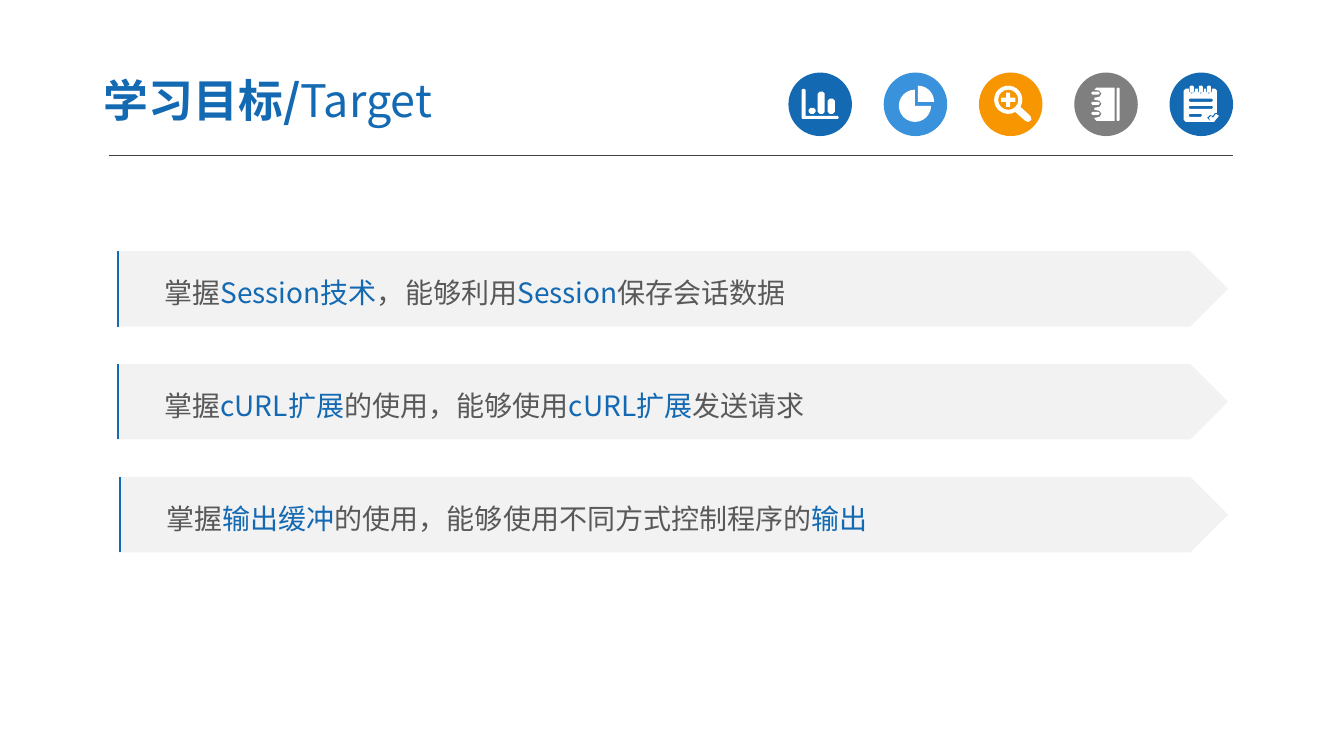
import math

import pptx
import pptx.dml.color
import pptx.enum.shapes
import pptx.enum.text
import pptx.oxml.ns
import pptx.util
from lxml import etree

Inches = pptx.util.Inches
Pt = pptx.util.Pt
RGBColor = pptx.dml.color.RGBColor
SHAPE = pptx.enum.shapes.MSO_SHAPE
ANCHOR = pptx.enum.text.MSO_ANCHOR
ALIGN = pptx.enum.text.PP_ALIGN
qn = pptx.oxml.ns.qn

FONT = "Noto Sans CJK SC"
BLUE = RGBColor(0x13, 0x69, 0xB2)
LIGHT_BLUE = RGBColor(0x39, 0x92, 0xDB)
ORANGE = RGBColor(0xF7, 0x96, 0x00)
GRAY = RGBColor(0x7F, 0x7F, 0x7F)
RULE_GRAY = RGBColor(0x40, 0x40, 0x40)
BAND = RGBColor(0xF2, 0xF2, 0xF2)
TEXT = RGBColor(0x59, 0x59, 0x59)
WHITE = RGBColor(0xFF, 0xFF, 0xFF)

ICON_SIZE = 0.63

GOALS = [
    (1.16, [("掌握", TEXT), ("Session技术", BLUE), ("，能够利用", TEXT),
            ("Session", BLUE), ("保存会话数据", TEXT)]),
    (1.16, [("掌握", TEXT), ("cURL扩展", BLUE), ("的使用，能够使用", TEXT),
            ("cURL扩展", BLUE), ("发送请求", TEXT)]),
    (1.18, [("掌握", TEXT), ("输出缓冲", BLUE),
            ("的使用，能够使用不同方式控制程序的", TEXT), ("输出", BLUE)]),
]


def arc(x, y, radius, start, end, steps):
    """Return points along an arc, in degrees clockwise from the right."""
    angles = [math.radians(start + (end - start) * i / steps) for i in range(steps + 1)]
    return [(x + radius * math.cos(a), y + radius * math.sin(a)) for a in angles]


def bar(x, y, width, height, cut=0.01):
    """Return a rectangle outline with softened corners."""
    right, bottom = x + width, y + height
    return [(x + cut, y), (right - cut, y), (right, y + cut), (right, bottom - cut),
            (right - cut, bottom), (x + cut, bottom), (x, bottom - cut), (x, y + cut)]


def chart_outlines():
    """Return the outlines of the bar chart pictogram."""
    axis = [(0.13, 0.17), (0.15, 0.16), (0.17, 0.17), (0.17, 0.43), (0.49, 0.43),
            (0.5, 0.45), (0.49, 0.46), (0.14, 0.46), (0.13, 0.45)]
    return [axis, bar(0.2, 0.35, 0.07, 0.06, 0.02), bar(0.29, 0.19, 0.07, 0.22, 0.02),
            bar(0.39, 0.26, 0.07, 0.15, 0.02)]


def pie_outlines():
    """Return the outlines of the pie pictogram."""
    return [[(0.31, 0.33)] + arc(0.31, 0.33, 0.16, 0, 270, 18),
            [(0.34, 0.29)] + arc(0.34, 0.29, 0.16, 270, 360, 6)]


def search_outlines():
    """Return the outlines of the magnifier pictogram."""
    x, y = 0.29, 0.27
    lens = arc(x, y, 0.14, 60, 390, 20) + [(0.51, 0.43), (0.52, 0.47), (0.49, 0.49), (0.46, 0.48)]
    near, far = 0.02, 0.07
    plus = [(x - near, y - far), (x + near, y - far), (x + near, y - near), (x + far, y - near),
            (x + far, y + near), (x + near, y + near), (x + near, y + far), (x - near, y + far),
            (x - near, y + near), (x - far, y + near), (x - far, y - near), (x - near, y - near)]
    return [lens, arc(x, y, 0.1, 360, 0, 16), plus]


def notebook_outlines():
    """Return the outlines of the notebook pictogram."""
    centers = (0.41, 0.31, 0.21)
    cover = [(0.22, 0.15), (0.4, 0.15), (0.4, 0.48), (0.22, 0.48), (0.2, 0.46)]
    for y in centers:
        cover += [(0.2, y + 0.04), (0.25, y + 0.03), (0.27, y), (0.25, y - 0.03), (0.2, y - 0.04)]
    rings = [bar(0.17, y - 0.02, 0.08, 0.03) for y in centers]
    return [cover + [(0.2, 0.17)], bar(0.42, 0.15, 0.03, 0.33)] + rings


def checklist_outlines():
    """Return the outlines of the checklist pictogram."""
    centers = (0.22, 0.31, 0.39)
    sheet = [(0.14, 0.18), (0.16, 0.16)]
    for x in centers:
        sheet += [(x - 0.03, 0.16), (x - 0.03, 0.19), (x, 0.21), (x + 0.03, 0.19), (x + 0.03, 0.16)]
    sheet += [(0.45, 0.16), (0.47, 0.18), (0.47, 0.4), (0.45, 0.4), (0.43, 0.43), (0.4, 0.42),
              (0.37, 0.45), (0.41, 0.49), (0.16, 0.49), (0.14, 0.47)]
    check = [(0.39, 0.45), (0.41, 0.43), (0.43, 0.45), (0.46, 0.41), (0.49, 0.43),
             (0.44, 0.49), (0.41, 0.49)]
    rows = [bar(0.19, y, width, 0.03) for y, width in ((0.26, 0.24), (0.33, 0.24), (0.41, 0.13))]
    rings = [bar(x - 0.02, 0.13, 0.04, 0.07) for x in centers]
    return [sheet, check] + rows + rings


ICONS = [(BLUE, chart_outlines()), (LIGHT_BLUE, pie_outlines()), (ORANGE, search_outlines()),
         (GRAY, notebook_outlines()), (BLUE, checklist_outlines())]


def paint(shape, color):
    """Give a shape a flat fill without outline or shadow."""
    shape.shadow.inherit = False
    shape.fill.solid()
    shape.fill.fore_color.rgb = color
    shape.line.fill.background()


def add_span(para, text, color, size, bold=False):
    """Append a run in the slide font."""
    span = para.add_run()
    span.text = text
    for name, value in {"name": FONT, "size": Pt(size), "bold": bold}.items():
        setattr(span.font, name, value)
    span.font.color.rgb = color
    east_asian = etree.SubElement(span.font._element, qn("a:ea"))
    east_asian.set("typeface", FONT)


def set_frame(frame, margins):
    """Apply wrapping, middle anchor and left, top, right, bottom margins."""
    frame.word_wrap = True
    frame.vertical_anchor = ANCHOR.MIDDLE
    for side, margin in zip(("left", "top", "right", "bottom"), margins):
        setattr(frame, "margin_" + side, Inches(margin))


def add_header(page, left, top, right):
    """Place the title, the row of icons and the rule below them."""
    rule = page.shapes.add_connector(
        pptx.enum.shapes.MSO_CONNECTOR.STRAIGHT,
        *map(Inches, (left, top + 0.91, right, top + 0.91)))
    rule.line.color.rgb = RULE_GRAY
    rule.line.width = Pt(0.75)
    etree.SubElement(rule._element.spPr, qn("a:effectLst"))
    first = 7.82
    step = (right - ICON_SIZE - first) / (len(ICONS) - 1)
    for index, (color, outlines) in enumerate(ICONS):
        add_icon(page, first + index * step, top + 0.09, color, outlines)
    box = page.shapes.add_textbox(*map(Inches, (left - 0.19, top, 5.22, 0.72)))
    set_frame(box.text_frame, (0.14, 0.07, 0.13, 0.07))
    para = box.text_frame.paragraphs[0]
    add_span(para, "学习目标/", BLUE, 32, bold=True)
    add_span(para, "Target", BLUE, 32)


def add_icon(page, left, top, color, outlines):
    """Place a round icon with its pictogram."""
    disc = page.shapes.add_shape(
        SHAPE.OVAL, *map(Inches, (left, top, ICON_SIZE, ICON_SIZE)))
    paint(disc, color)
    placed = [[(Inches(left + x), Inches(top + y)) for x, y in outline] for outline in outlines]
    builder = page.shapes.build_freeform(*placed[0][0])
    builder.add_line_segments(placed[0][1:], close=True)
    for outline in placed[1:]:
        builder.move_to(*outline[0])
        builder.add_line_segments(outline[1:], close=True)
    paint(builder.convert_to_shape(), WHITE)


def add_goal(page, left, top, right, height, spans):
    """Place one arrow band with its accent line and text."""
    band = page.shapes.add_shape(
        SHAPE.PENTAGON, *map(Inches, (left, top, right - left, height)))
    paint(band, BAND)
    set_frame(band.text_frame, (0.47, 0.05, 0.1, 0.05))
    para = band.text_frame.paragraphs[0]
    for name, value in {"alignment": ALIGN.LEFT, "line_spacing": 1.2}.items():
        setattr(para, name, value)
    for text, color in spans:
        add_span(para, text, color, 20)
    edge = Inches(left + 0.01)
    builder = page.shapes.build_freeform(edge, Inches(top + height))
    builder.add_line_segments([(edge, Inches(top))], close=False)
    builder.move_to(edge + Inches(0.16), Inches(top))
    accent = builder.convert_to_shape()
    accent.shadow.inherit = False
    accent.fill.background()
    accent.line.color.rgb = BLUE
    accent.line.width = Pt(1.5)


def main():
    """Build and save the deck."""
    deck = pptx.Presentation()
    deck.slide_width, deck.slide_height = Inches(13.33), Inches(7.5)
    page = deck.slides.add_slide(deck.slide_layouts[6])
    add_header(page, 1.08, 0.63, 12.23)
    for index, (left, spans) in enumerate(GOALS):
        add_goal(page, left, 2.49 + index * 1.12, 12.18, 0.75, spans)
    deck.save("out.pptx")


if __name__ == "__main__":
    main()
